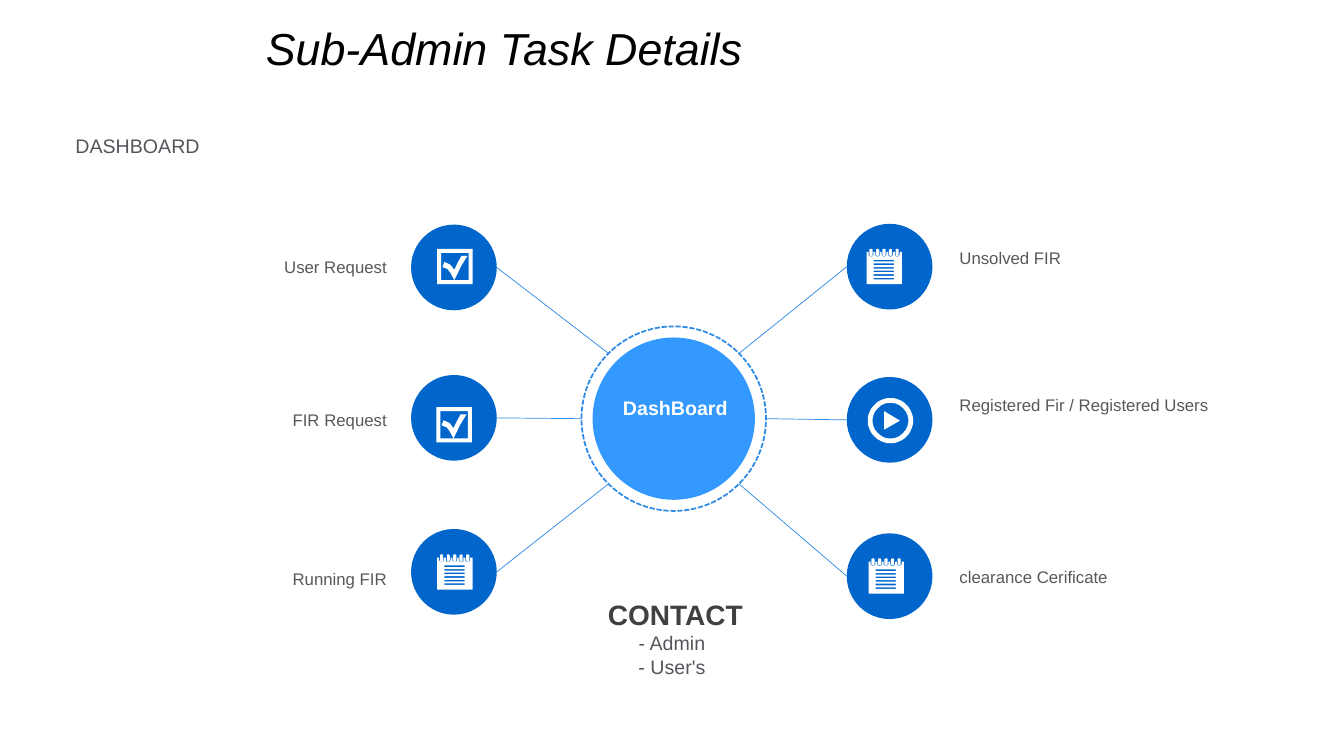
import math

from lxml import etree
from pptx import Presentation
from pptx.dml.color import RGBColor
from pptx.enum.dml import MSO_LINE
from pptx.enum.shapes import MSO_CONNECTOR, MSO_SHAPE
from pptx.enum.text import MSO_AUTO_SIZE, PP_ALIGN
from pptx.oxml.ns import qn
from pptx.util import Cm, Pt

OVAL = MSO_SHAPE.OVAL
STRAIGHT = MSO_CONNECTOR.STRAIGHT
DASHED = MSO_LINE.SQUARE_DOT
LEFT, CENTER, RIGHT = PP_ALIGN.LEFT, PP_ALIGN.CENTER, PP_ALIGN.RIGHT

FONT = "Arial"
COLORS = {
    "node": "0066CC", "hub": "3399FF", "line": "2D8AE7", "white": "FFFFFF",
    "black": "000000", "label": "595959", "heading": "404040", "body": "53575C",
}

# Hub and node geometry in centimetres
HUB_X, HUB_Y = 16.98, 10.55
HUB_SIZE, RING_SIZE, NODE_SIZE = 4.09, 4.65, 2.16


def color(name):
    return RGBColor.from_string(COLORS[name])


def add_text(slide, box, lines, size, color_name, align=LEFT, bold=False,
             italic=False, inset=True, space_before=0):
    shape = slide.shapes.add_textbox(*(Cm(length) for length in box))
    frame = shape.text_frame
    frame.word_wrap = True
    frame.auto_size = MSO_AUTO_SIZE.SHAPE_TO_FIT_TEXT
    if not inset:
        frame.margin_left = frame.margin_right = Cm(0)
        frame.margin_top = frame.margin_bottom = Cm(0)
    frame.text = "\n".join(lines)
    for paragraph in frame.paragraphs:
        paragraph.alignment = align
        if space_before:
            paragraph.space_before = Pt(space_before)
        for run in paragraph.runs:
            run.font.name = FONT
            run.font.size = Pt(size)
            run.font.bold = bold
            run.font.italic = italic
            run.font.color.rgb = color(color_name)


def add_circle(slide, center_x, center_y, diameter, fill=None):
    """Draw a filled circle, or a dashed ring when there is no fill."""
    shape = slide.shapes.add_shape(
        OVAL, Cm(center_x - diameter / 2), Cm(center_y - diameter / 2),
        Cm(diameter), Cm(diameter))
    shape.shadow.inherit = False
    if fill:
        shape.fill.solid()
        shape.fill.fore_color.rgb = color(fill)
        shape.line.fill.background()
    else:
        shape.fill.background()
        shape.line.color.rgb = color("line")
        shape.line.width = Pt(1.25)
        shape.line.dash_style = DASHED


def add_spoke(slide, node_x, node_y, side, row):
    """Join a node's inner edge to the hub ring, 45 degrees per row."""
    angle = math.radians(45 * row)
    radius = RING_SIZE / 2
    connector = slide.shapes.add_connector(
        STRAIGHT, Cm(node_x - side * NODE_SIZE / 2), Cm(node_y),
        Cm(HUB_X + side * radius * math.cos(angle)),
        Cm(HUB_Y + radius * math.sin(angle)))
    connector.line.color.rgb = color("line")
    connector.line.width = Pt(0.5)
    etree.SubElement(connector._element.spPr, qn("a:effectLst"))


# Icon outlines, in hundredths of a centimetre
def arc(center_x, center_y, radius_x, radius_y, start, end, steps):
    angles = (math.radians(start + (end - start) * step / steps)
              for step in range(steps + 1))
    return [(center_x + radius_x * math.cos(angle),
             center_y + radius_y * math.sin(angle)) for angle in angles]


def rectangle(left, top, right, bottom):
    return [(left, top), (right, top), (right, bottom), (left, bottom)]


def notepad():
    ring_centers = [11 + 16.5 * ring for ring in range(5)]
    page = [(0, 8)]
    for x in ring_centers:
        page += [(x - 6, 8), *arc(x, 13, 6, 7, 180, 0, 8), (x + 6, 8)]
    page += [(89, 8), (89, 89), (0, 89)]
    rings = [arc(x, 4, 4, 4, 180, 360, 8) + arc(x, 13, 4, 5, 0, 180, 8)
             for x in ring_centers]
    rules = [rectangle(18, 28 + 9 * row, 69, 32 + 9 * row) for row in range(6)]
    return [page, *rings, *rules]


def checkbox():
    inside = [(10, 10), (10, 79), (43, 79), (34, 62), (26, 51), (13, 46),
              (18, 33), (33, 40), (43, 53), (51, 36), (61, 18), (76, 18),
              (60, 44), (43, 79), (79, 79), (79, 10)]
    return [rectangle(0, 0, 89, 89), inside]


def play_button():
    circles = [arc(57, 57, radius, radius, 0, 360, 60) for radius in (57, 45)]
    return [*circles, [(41, 33), (81, 57), (41, 80)]]


def add_icon(slide, left, top, outlines):
    first, *others = outlines
    builder = slide.shapes.build_freeform(*first[0], scale=Cm(0.01))
    builder.add_line_segments(first[1:], close=True)
    for outline in others:
        builder.move_to(*outline[0])
        builder.add_line_segments(outline[1:], close=True)
    shape = builder.convert_to_shape(Cm(left), Cm(top))
    shape.shadow.inherit = False
    shape.fill.solid()
    shape.fill.fore_color.rgb = color("white")
    shape.line.fill.background()


def main():
    presentation = Presentation()
    presentation.slide_width, presentation.slide_height = Cm(33.87), Cm(19.05)
    slide = presentation.slides.add_slide(presentation.slide_layouts[6])

    # Title and section name
    add_text(slide, (6.45, 0.41, 26.72, 3), ["Sub-Admin Task Details"], 32,
             "black", italic=True)
    add_text(slide, (1.65, 3.25, 30.48, 1), ["DASHBOARD"], 14, "body",
             space_before=2.8)

    # Central hub
    add_circle(slide, HUB_X, HUB_Y, HUB_SIZE, "hub")
    add_circle(slide, HUB_X, HUB_Y, RING_SIZE)
    add_text(slide, (15.04, 9.86, 3.96, 0.86), ["DashBoard"], 14, "white",
             CENTER, bold=True)

    # Sides: direction, node centre, label left, label width, alignment, and
    # per row: label, label top, node centre, icon left, icon top, icon
    sides = [
        (-1, 11.44, 2.41, 7.59, RIGHT, [
            ("User Request", 6.35, 6.74, 11.02, 6.27, checkbox),
            ("FIR Request", 10.21, 10.53, 11, 10.26, checkbox),
            ("Running FIR", 14.2, 14.41, 11.02, 13.97, notepad)]),
        (1, 22.42, 23.93, 7.54, LEFT, [
            ("Unsolved FIR", 6.12, 6.72, 21.84, 6.27, notepad),
            ("Registered Fir / Registered Users", 9.83, 10.58, 21.87, 10.03,
             play_button),
            ("clearance Cerificate", 14.15, 14.52, 21.89, 14.07, notepad)]),
    ]
    for side, node_x, label_left, label_width, align, nodes in sides:
        for row, node in enumerate(nodes, start=-1):
            label, label_top, node_y, icon_left, icon_top, icon = node
            add_text(slide, (label_left, label_top, label_width, 0.76),
                     [label], 12, "label", align)
            add_circle(slide, node_x, node_y, NODE_SIZE, "node")
            add_spoke(slide, node_x, node_y, side, row)
            add_icon(slide, icon_left, icon_top, icon())

    # Contact block
    add_text(slide, (13.49, 15.06, 7.06, 0.86), ["CONTACT"], 20, "heading",
             CENTER, bold=True, inset=False)
    add_text(slide, (13.44, 15.9, 6.99, 1.19), ["- Admin", "- User's"], 14,
             "body", CENTER, inset=False)

    presentation.save("out.pptx")


if __name__ == "__main__":
    main()
